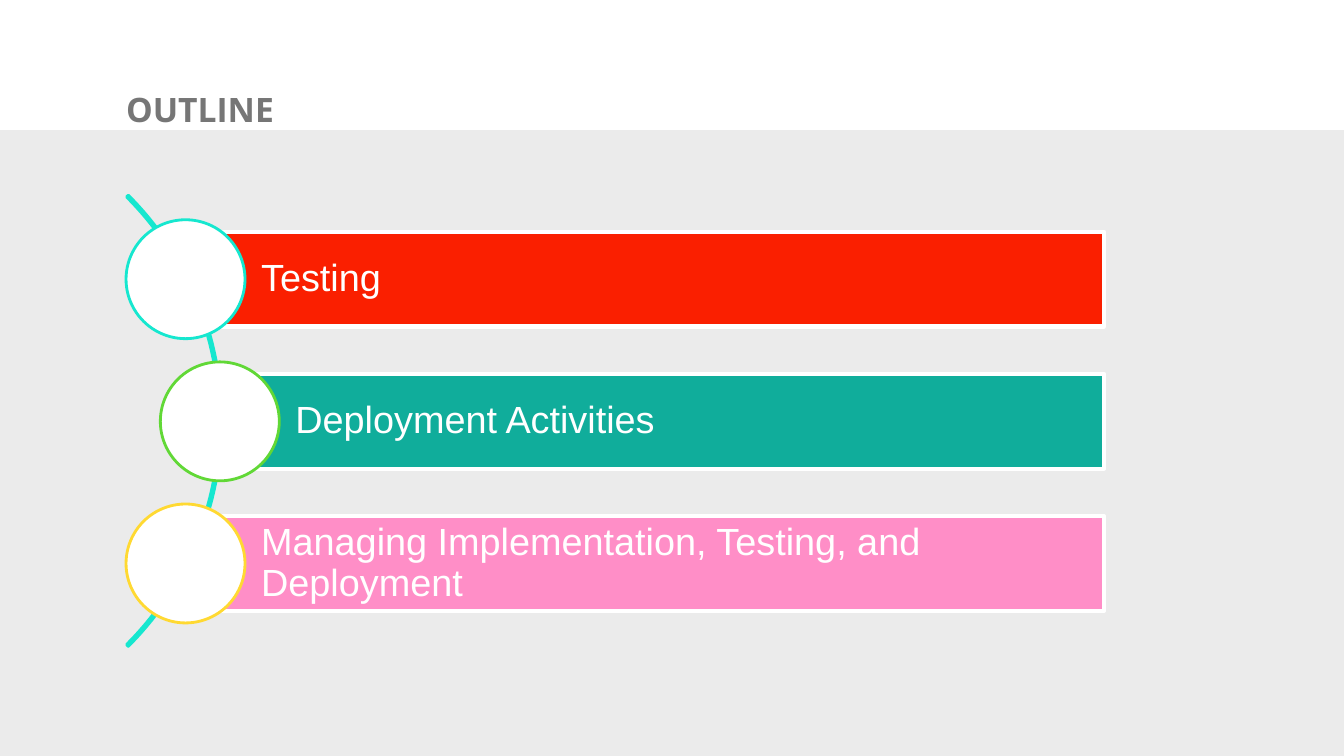
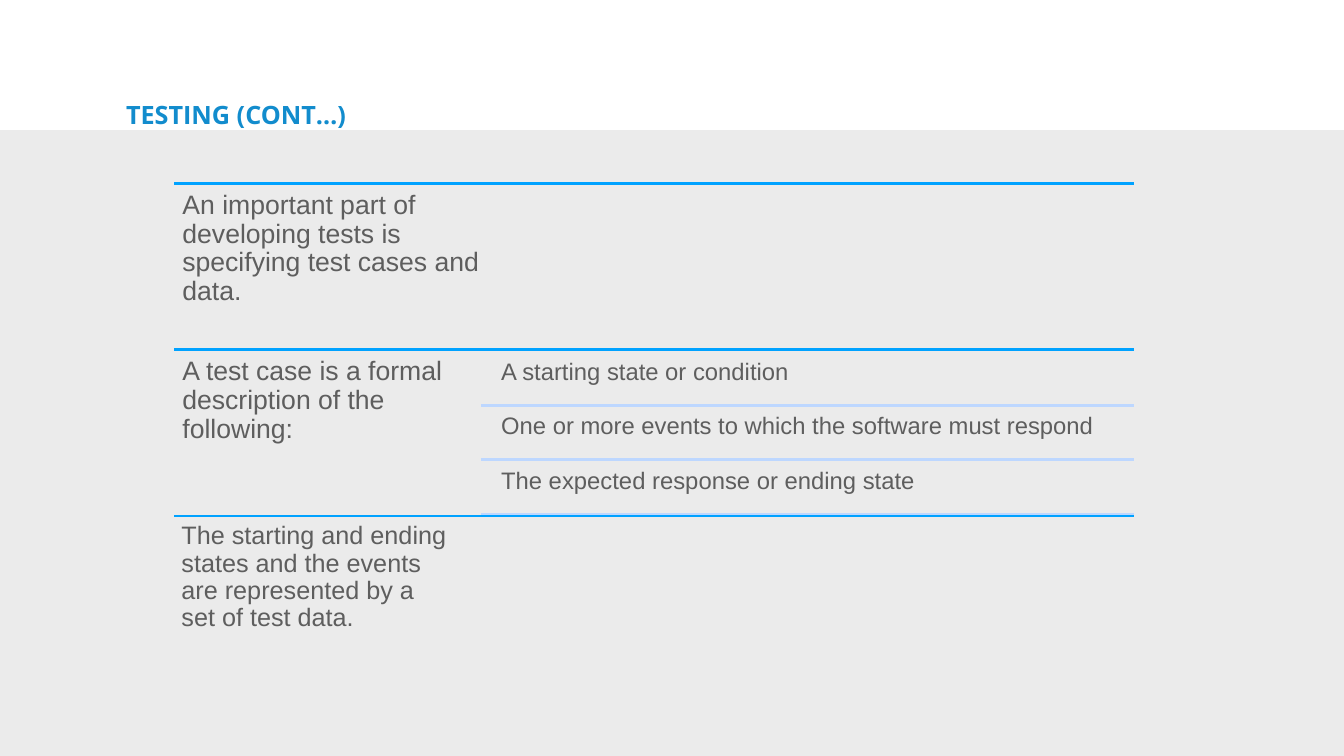
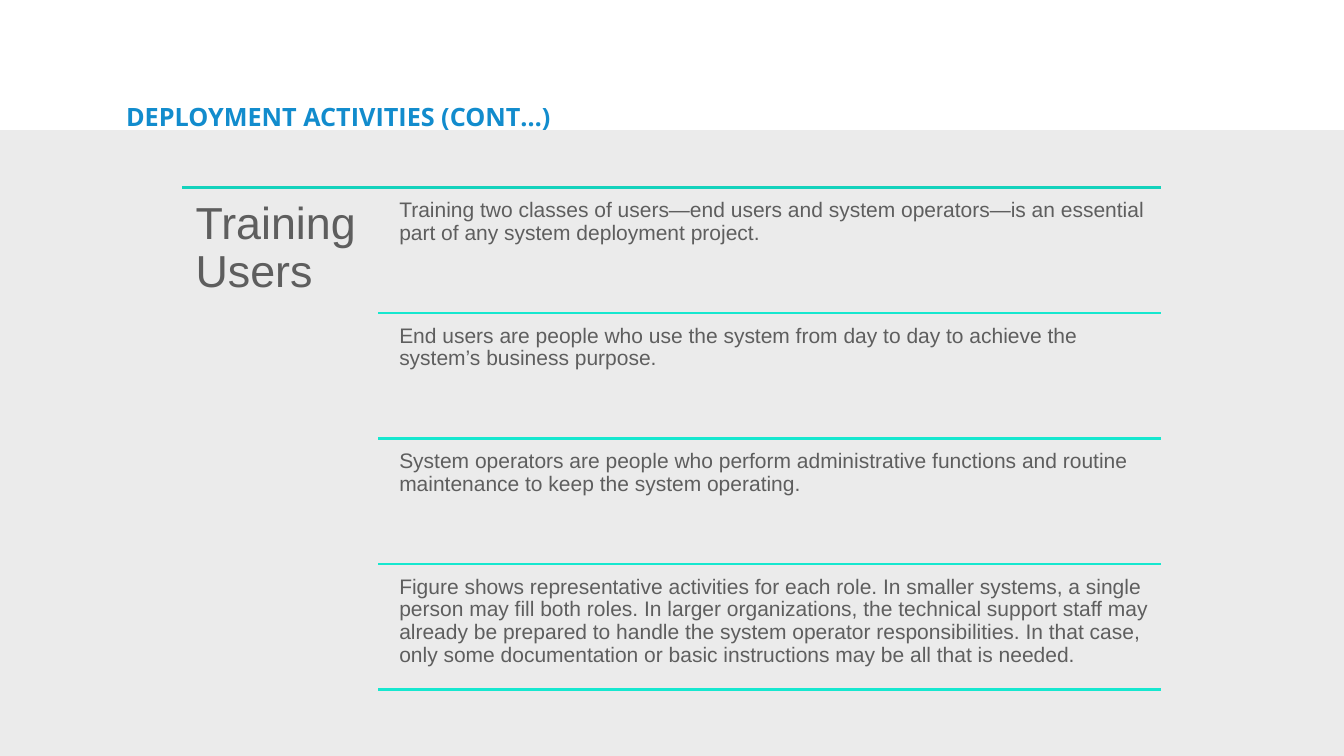
"""Build three slides on testing and deployment: an outline and two ruled lists."""
import dataclasses
import typing

import pptx
import pptx.dml.color
import pptx.enum.shapes
import pptx.enum.text
import pptx.oxml.ns
import pptx.util
from lxml import etree
from pptx.util import Inches

COLORS = {
    "white": "FFFFFF", "band": "EBEBEB", "text": "5E5E5E",
    "gray": "767676", "title_blue": "128CCD",
    "blue": "00A2FF", "pale_blue": "BDD7FF",
    "aqua": "16E7CF", "deep_aqua": "14D2BC", "green": "61D836", "yellow": "FFD932",
    "red": "FA1F00", "teal": "10AD9B", "pink": "FF8EC7",
}
SHAPES = pptx.enum.shapes.MSO_SHAPE
ANCHORS = pptx.enum.text.MSO_ANCHOR
LEFT_ALIGN = pptx.enum.text.PP_ALIGN.LEFT


@dataclasses.dataclass(frozen=True)
class Box:
    left: float
    top: float
    width: float
    height: float

    def lengths(self) -> list:
        return [Inches(value) for value in dataclasses.astuple(self)]


@dataclasses.dataclass(frozen=True)
class TextStyle:
    size: float
    color: str = "text"
    font: str = "Arial"
    bold: bool = False
    line_spacing: float = 0.9
    inset: float = 0.07
    left_inset: typing.Optional[float] = None
    anchor: typing.Any = ANCHORS.TOP


@dataclasses.dataclass(frozen=True)
class OutlineItem:
    text: str
    left: float
    fill: str
    ring: str


@dataclasses.dataclass(frozen=True)
class Topic:
    text: str
    width: float
    style: TextStyle


OUTLINE_ITEMS = [
    OutlineItem("Testing", 1.84, "red", "aqua"),
    OutlineItem("Deployment Activities", 2.18, "teal", "green"),
    OutlineItem("Managing Implementation, Testing, and Deployment", 1.84, "pink", "yellow"),
]
TEST_TOPICS = [
    Topic("An important part of developing tests is specifying test cases and data.",
          3.11, TextStyle(19, inset=0.08)),
    Topic("A test case is a formal description of the following:",
          3.04, TextStyle(19, inset=0.08)),
    Topic("The starting and ending states and the events are represented by a set of test data.",
          2.8, TextStyle(18)),
]
TEST_CASE_PARTS = [
    "A starting state or condition",
    "One or more events to which the software must respond",
    "The expected response or ending state",
]
TRAINING_POINTS = [
    "Training two classes of users—end users and system operators—is an essential "
    "part of any system deployment project.",
    "End users are people who use the system from day to day to achieve the "
    "system’s business purpose.",
    "System operators are people who perform administrative functions and routine "
    "maintenance to keep the system operating.",
    "Figure shows representative activities for each role. In smaller systems, a single "
    "person may fill both roles. In larger organizations, the technical support staff may "
    "already be prepared to handle the system operator responsibilities. In that case, "
    "only some documentation or basic instructions may be all that is needed.",
]


def rgb(name: str) -> pptx.dml.color.RGBColor:
    return pptx.dml.color.RGBColor.from_string(COLORS[name])


def set_values(target: typing.Any, values: dict) -> None:
    for name, value in values.items():
        setattr(target, name, value)


def write_text(shape: typing.Any, text: str, style: TextStyle) -> None:
    frame = shape.text_frame
    inset = Inches(style.inset)
    left_inset = inset if style.left_inset is None else Inches(style.left_inset)
    set_values(frame, {
        "text": text, "word_wrap": True, "auto_size": pptx.enum.text.MSO_AUTO_SIZE.NONE,
        "vertical_anchor": style.anchor, "margin_left": left_inset,
        "margin_top": inset, "margin_right": inset, "margin_bottom": inset,
    })
    paragraph = frame.paragraphs[0]
    set_values(paragraph, {"alignment": LEFT_ALIGN, "line_spacing": style.line_spacing})
    font = paragraph.runs[0].font
    set_values(font, {"size": pptx.util.Pt(style.size), "name": style.font, "bold": style.bold})
    font.color.rgb = rgb(style.color)


def add_text(slide: typing.Any, text: str, box: Box, style: TextStyle) -> None:
    write_text(slide.shapes.add_textbox(*box.lengths()), text, style)


def add_figure(slide: typing.Any, kind: typing.Any, box: Box, fill: str,
               line: typing.Optional[str] = None, line_width: float = 2) -> typing.Any:
    shape = slide.shapes.add_shape(kind, *box.lengths())
    shape.shadow.inherit = False
    shape.fill.solid()
    shape.fill.fore_color.rgb = rgb(fill)
    if line is None:
        shape.line.fill.background()
    else:
        shape.line.color.rgb = rgb(line)
        shape.line.width = pptx.util.Pt(line_width)
    return shape


def add_rule(slide: typing.Any, left: float, right: float, top: float, color: str) -> None:
    connector = slide.shapes.add_connector(
        pptx.enum.shapes.MSO_CONNECTOR.STRAIGHT,
        Inches(left), Inches(top), Inches(right), Inches(top))
    connector.line.color.rgb = rgb(color)
    connector.line.width = pptx.util.Pt(2)
    etree.SubElement(connector.element.spPr, pptx.oxml.ns.qn("a:effectLst"))


def add_titled_slide(presentation: typing.Any, title: str, box: Box, size: float = 18,
                     color: str = "title_blue", line_spacing: float = 1.15) -> typing.Any:
    slide = presentation.slides.add_slide(presentation.slide_layouts.get_by_name("Title Only"))
    shape = slide.shapes.title
    set_values(shape, dict(zip(("left", "top", "width", "height"), box.lengths())))
    write_text(shape, title, TextStyle(size, color, "Open Sans", True, line_spacing, 0.06))
    return slide


def add_master_band(presentation: typing.Any, slide: typing.Any) -> None:
    band = add_figure(slide, SHAPES.RECTANGLE, Box(0, 1.29, 13.33, 6.25), "band")
    presentation.slide_master.shapes.element.insert(2, band.element)


def build_outline(presentation: typing.Any) -> None:
    slide = add_titled_slide(presentation, "OUTLINE", Box(1.19, 0.9, 8.05, 0.33), 24, "gray", 0.8)
    add_master_band(presentation, slide)
    arc = add_figure(slide, SHAPES.BLOCK_ARC, Box(-4.13, 1.01, 6.33, 6.33), "aqua", "aqua")
    for index, value in enumerate((189, 27, 0.004)):
        arc.adjustments[index] = value
    style = TextStyle(27, "white", left_inset=0.75, anchor=ANCHORS.MIDDLE)
    right, pitch, circle = 10.95, 1.41, 1.18
    for index, item in enumerate(OUTLINE_ITEMS):
        top = 2.3 + index * pitch
        bar = add_figure(slide, SHAPES.RECTANGLE,
                         Box(item.left, top, right - item.left, 0.94), item.fill, "white", 3)
        write_text(bar, item.text, style)
        add_figure(slide, SHAPES.OVAL,
                   Box(item.left - circle / 2, top - 0.12, circle, circle), "white", item.ring)


def build_testing(presentation: typing.Any) -> None:
    slide = add_titled_slide(presentation, "TESTING (CONT…)", Box(1.19, 0.88, 8.05, 0.42))
    left, right, first_top, row_height = 1.73, 11.25, 1.82, 1.65
    for index, part in enumerate(TEST_CASE_PARTS):
        top = 3.5 + index * 0.54
        add_text(slide, part, Box(4.9, top, 6.35, 0.52), TextStyle(17))
        add_rule(slide, 4.77, right, top + 0.52, "pale_blue")
    for index, topic in enumerate(TEST_TOPICS):
        top = first_top + index * row_height
        add_rule(slide, left, right, top, "blue")
        add_text(slide, topic.text, Box(left, top, topic.width, row_height), topic.style)


def build_training(presentation: typing.Any) -> None:
    slide = add_titled_slide(presentation, "DEPLOYMENT ACTIVITIES (CONT…)",
                             Box(1.19, 0.9, 8.05, 0.4))
    left, right, first_top, bottom = 1.81, 11.52, 1.86, 6.84
    add_rule(slide, left, right, first_top, "deep_aqua")
    add_text(slide, "Training Users", Box(left, first_top, 1.94, 5.03), TextStyle(32, inset=0.13))
    pitch = (bottom - first_top) / len(TRAINING_POINTS)
    for index, point in enumerate(TRAINING_POINTS):
        top = first_top + index * pitch
        add_text(slide, point, Box(3.9, top + 0.06, 7.62, 1.18), TextStyle(15, inset=0.06))
        add_rule(slide, 3.75, right, top + pitch, "aqua")


def main() -> None:
    presentation = pptx.Presentation()
    set_values(presentation, {"slide_width": Inches(13.33), "slide_height": Inches(7.5)})
    build_outline(presentation)
    build_testing(presentation)
    build_training(presentation)
    presentation.save("out.pptx")


if __name__ == "__main__":
    main()
